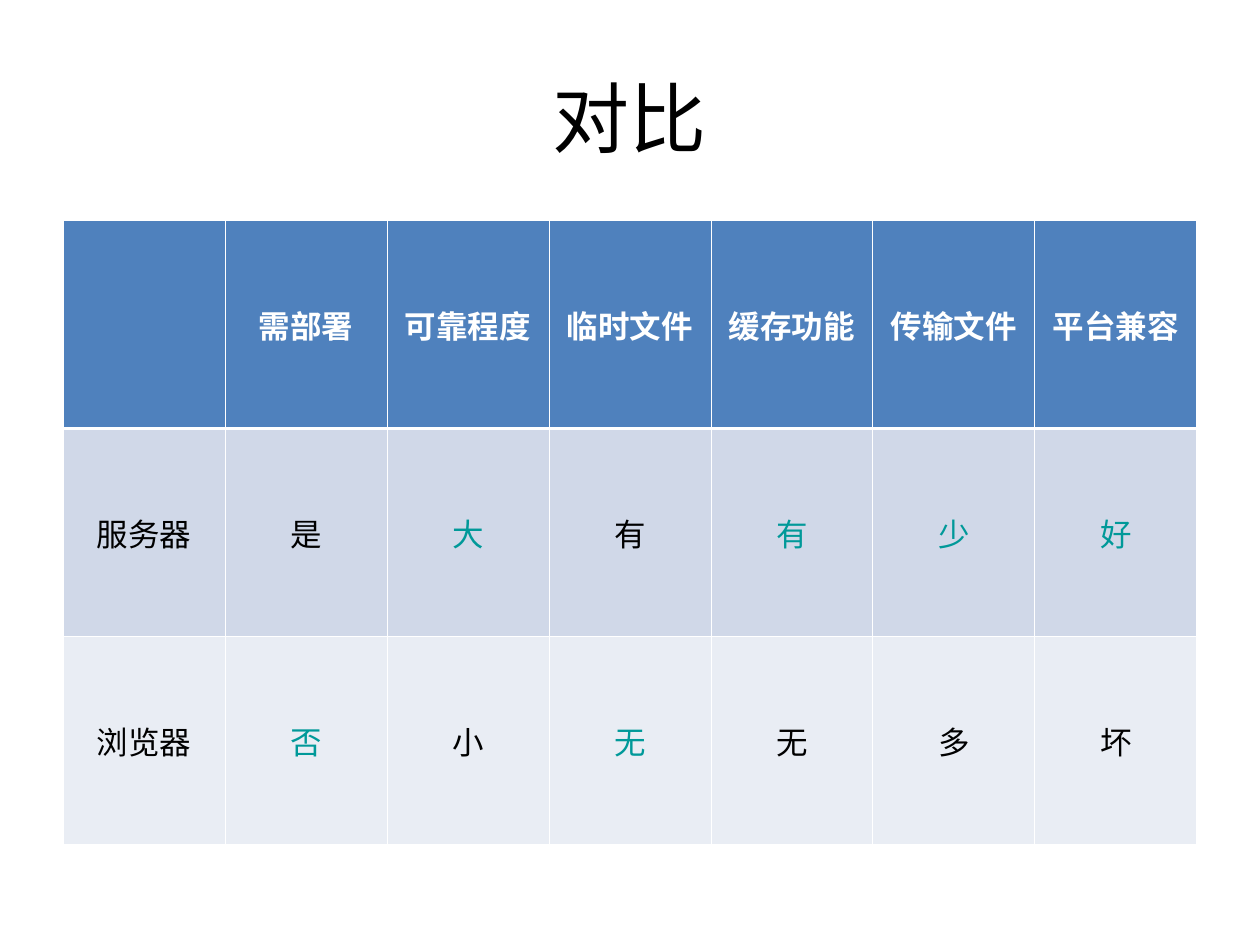
from lxml import etree
from pptx import Presentation
from pptx import util as u
from pptx.dml.color import RGBColor
from pptx.enum import text
from pptx.oxml.ns import qn

BLACK = RGBColor(0x00, 0x00, 0x00)
WHITE = RGBColor(0xFF, 0xFF, 0xFF)
BLUE = RGBColor(0x4F, 0x81, 0xBD)
MIST = RGBColor(0xD0, 0xD8, 0xE8)
PALE = RGBColor(0xE9, 0xED, 0xF4)
TEAL = RGBColor(0x00, 0x99, 0x99)

FILLS = [BLUE, MIST, PALE]
ROWS = [
    ["", "需部署", "可靠程度", "临时文件", "缓存功能", "传输文件", "平台兼容"],
    ["服务器", "是", "大", "有", "有", "少", "好"],
    ["浏览器", "否", "小", "无", "无", "多", "坏"],
]
BETTER = {(1, 2), (1, 4), (1, 5), (1, 6), (2, 1), (2, 3)}
THIN, THICK = 0.45, 1.47


def write(frame, words, size=18, face="Calibri", color=BLACK, bold=False):
    """Put one centred line of text into a frame."""
    par = frame.paragraphs[0]
    par.alignment = text.PP_ALIGN.CENTER
    run = par.add_run()
    run.text = words
    font = run.font
    font.size, font.name, font.bold = u.Pt(size), face, bold
    font.color.rgb = color


def add_title(slide, words):
    box = slide.shapes.add_textbox(
        u.Inches(0.5), u.Inches(0.3), u.Inches(9), u.Inches(1.25))
    frame = box.text_frame
    frame.word_wrap = True
    frame.vertical_anchor = text.MSO_ANCHOR.MIDDLE
    write(frame, words, size=44, face="Arial")


def set_borders(cell, top, bottom):
    """Draw white cell edges; the lines must precede the fill in the XML."""
    props = cell._tc.get_or_add_tcPr()
    edges = {"lnL": THIN, "lnR": THIN, "lnT": top, "lnB": bottom}
    for spot, (tag, width) in enumerate(edges.items()):
        line = etree.Element(qn("a:" + tag), w=str(u.Pt(width)))
        fill = etree.SubElement(line, qn("a:solidFill"))
        etree.SubElement(fill, qn("a:srgbClr"), val=str(WHITE))
        props.insert(spot, line)


def fill_cell(cell, row, col):
    head = row == 0
    cell.fill.solid()
    cell.fill.fore_color.rgb = FILLS[row]
    cell.vertical_anchor = text.MSO_ANCHOR.MIDDLE
    set_borders(cell, THICK if row == 1 else THIN, THICK if head else THIN)
    if ROWS[row][col]:
        color = WHITE if head else TEAL if (row, col) in BETTER else BLACK
        write(cell.text_frame, ROWS[row][col], color=color, bold=head)


def add_grid(slide):
    grid = slide.shapes.add_table(
        len(ROWS), len(ROWS[0]),
        u.Inches(0.5), u.Inches(1.75), u.Inches(9), u.Inches(4.95)).table
    for row, words in enumerate(ROWS):
        for col in range(len(words)):
            fill_cell(grid.cell(row, col), row, col)


def main():
    deck = Presentation()
    deck.slide_width, deck.slide_height = u.Inches(10), u.Inches(7.5)
    slide = deck.slides.add_slide(deck.slide_layouts[6])
    add_title(slide, "对比")
    add_grid(slide)
    deck.save("out.pptx")


if __name__ == "__main__":
    main()
